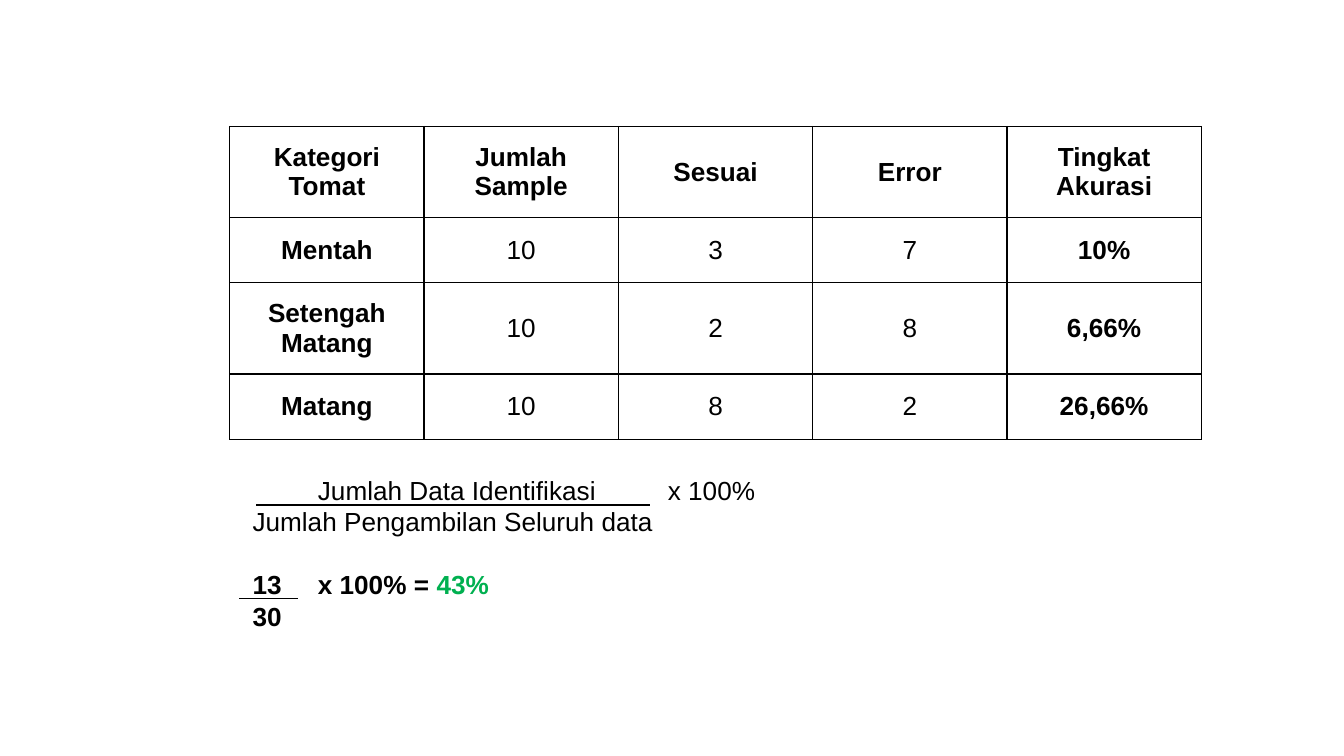
from dataclasses import dataclass

from lxml.etree import SubElement
from pptx import Presentation
from pptx.dml.color import RGBColor
from pptx.enum.shapes import MSO_CONNECTOR
from pptx.enum.text import MSO_ANCHOR, PP_ALIGN
from pptx.oxml.ns import qn
from pptx.util import Pt


@dataclass(frozen=True)
class Theme:
    font: str = "Arial"
    size: float = 14
    ink: str = "000000"
    result: str = "00B050"
    rule: float = 0.75


THEME = Theme()

ACCURACY_ROWS = [
    ("Kategori Tomat", "Jumlah Sample", "Sesuai", "Error", "Tingkat Akurasi"),
    ("Mentah", "10", "3", "7", "10%"),
    ("Setengah Matang", "10", "2", "8", "6,66%"),
    ("Matang", "10", "8", "2", "26,66%"),
]
ROW_HEIGHTS = [48.9, 34.9, 48.9, 34.9]

FORMULA_LINES = [
    [("\tJumlah Data Identifikasi\tx 100%", False, THEME.ink)],
    [("Jumlah Pengambilan Seluruh data", False, THEME.ink)],
    [("13\tx 100% = ", True, THEME.ink), ("43%", True, THEME.result)],
    [("30", True, THEME.ink)],
]
FORMULA_TABS = [35, 222.5]
FORMULA_GAP = 16.9
FRACTION_BARS = [(14.2, 225.2, 23.6), (5, 36.7, 73.6)]


def style_run(run, bold, color=THEME.ink):
    run.font.name = THEME.font
    run.font.size = Pt(THEME.size)
    run.font.bold = bold
    run.font.color.rgb = RGBColor.from_string(color)


def add_cell_borders(cell):
    properties = cell._tc.get_or_add_tcPr()
    for side in ("a:lnL", "a:lnR", "a:lnT", "a:lnB"):
        border = SubElement(properties, qn(side), w=str(Pt(THEME.rule)))
        fill = SubElement(border, qn("a:solidFill"))
        SubElement(fill, qn("a:srgbClr"), val=THEME.ink)


def add_accuracy_table(slide, left, top, width):
    row_count, column_count = len(ACCURACY_ROWS), len(ACCURACY_ROWS[0])
    table = slide.shapes.add_table(
        row_count, column_count, Pt(left), Pt(top), Pt(width), Pt(sum(ROW_HEIGHTS))
    ).table
    table.first_row = table.horz_banding = False
    for column in table.columns:
        column.width = Pt(width / column_count)
    for r, (labels, height) in enumerate(zip(ACCURACY_ROWS, ROW_HEIGHTS)):
        table.rows[r].height = Pt(height)
        for c, label in enumerate(labels):
            cell = table.cell(r, c)
            add_cell_borders(cell)
            cell.fill.background()
            cell.vertical_anchor = MSO_ANCHOR.MIDDLE
            cell.text_frame.text = label
            paragraph = cell.text_frame.paragraphs[0]
            paragraph.alignment = PP_ALIGN.CENTER
            style_run(paragraph.runs[0], r == 0 or c in (0, column_count - 1))


def add_tab_stops(paragraph):
    tab_list = SubElement(paragraph._p.get_or_add_pPr(), qn("a:tabLst"))
    for position in FORMULA_TABS:
        SubElement(tab_list, qn("a:tab"), pos=str(Pt(position)), algn="l")


def add_fraction_bar(slide, start, end, y):
    bar = slide.shapes.add_connector(
        MSO_CONNECTOR.STRAIGHT, Pt(start), Pt(y), Pt(end), Pt(y)
    )
    bar.line.color.rgb = RGBColor.from_string(THEME.ink)
    bar.line.width = Pt(THEME.rule)
    SubElement(bar._element.spPr, qn("a:effectLst"))


def add_accuracy_formula(slide, left, top, width, height):
    frame = slide.shapes.add_textbox(
        Pt(left), Pt(top), Pt(width), Pt(height)
    ).text_frame
    frame.word_wrap = True
    frame.margin_left = Pt(12.2)
    frame.margin_right = frame.margin_top = frame.margin_bottom = Pt(7.2)
    frame.text = "\n".join(line[0][0] for line in FORMULA_LINES)
    for i, (paragraph, line) in enumerate(zip(frame.paragraphs, FORMULA_LINES)):
        paragraph.line_spacing = 1.0
        if i == 2:
            paragraph.space_before = Pt(FORMULA_GAP)
        add_tab_stops(paragraph)
        for extra, _, _ in line[1:]:
            paragraph.add_run().text = extra
        for run, (_, bold, color) in zip(paragraph.runs, line):
            style_run(run, bold, color)
    for start, end, y in FRACTION_BARS:
        add_fraction_bar(slide, left + start, left + end, top + y)


def main():
    presentation = Presentation()
    presentation.slide_width = Pt(720)
    presentation.slide_height = Pt(405)
    slide = presentation.slides.add_slide(presentation.slide_layouts[6])
    left, width = 123.1, 520.5
    add_accuracy_table(slide, left, 67.7, width)
    add_accuracy_formula(slide, left, 247, width, 100.8)
    presentation.save("out.pptx")


if __name__ == "__main__":
    main()
